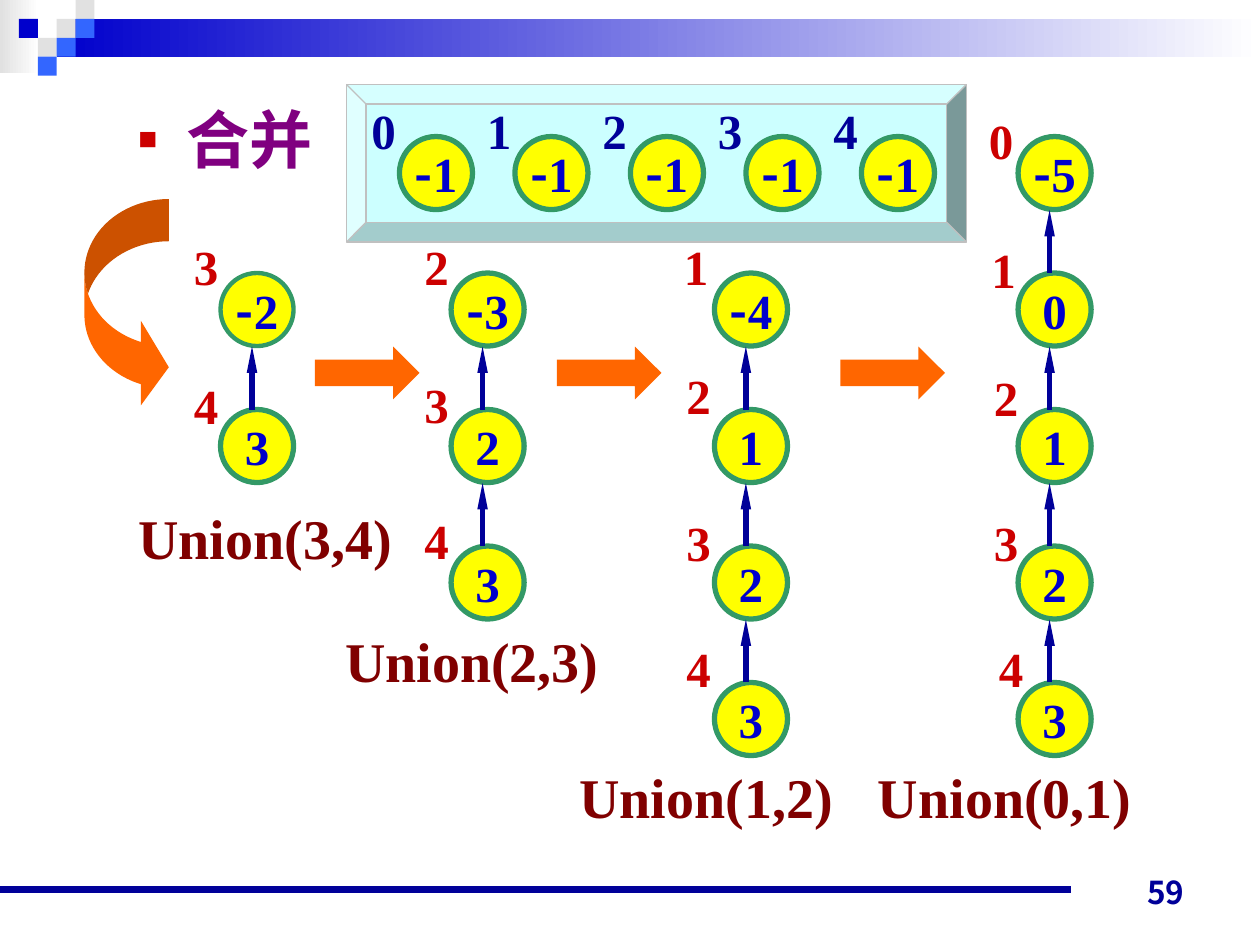
"""Build the slide showing successive Union operations on a five-element set."""
from lxml import etree
from pptx import Presentation
from pptx.dml.color import RGBColor
from pptx.enum.shapes import MSO_CONNECTOR, MSO_SHAPE
from pptx.enum.text import MSO_ANCHOR, MSO_AUTO_SIZE, PP_ALIGN
from pptx.oxml.ns import qn
from pptx.util import Inches, Pt

RECTANGLE, OVAL, BEVEL = MSO_SHAPE.RECTANGLE, MSO_SHAPE.OVAL, MSO_SHAPE.BEVEL
RIGHT_ARROW, CURVED_ARROW = MSO_SHAPE.RIGHT_ARROW, MSO_SHAPE.CURVED_RIGHT_ARROW
STRAIGHT = MSO_CONNECTOR.STRAIGHT
MIDDLE, BOTTOM = MSO_ANCHOR.MIDDLE, MSO_ANCHOR.BOTTOM
FIT_SHAPE = MSO_AUTO_SIZE.SHAPE_TO_FIT_TEXT
CENTER, RIGHT = PP_ALIGN.CENTER, PP_ALIGN.RIGHT

WHITE = RGBColor(0xFF, 0xFF, 0xFF)
GRAY = RGBColor(0xE1, 0xE1, 0xE1)
SILVER = RGBColor(0xC0, 0xC0, 0xC0)
BLUE = RGBColor(0x00, 0x00, 0xCC)
LIGHT_BLUE = RGBColor(0x33, 0x66, 0xFF)
NAVY = RGBColor(0x00, 0x00, 0x99)
CYAN = RGBColor(0xCC, 0xFF, 0xFF)
YELLOW = RGBColor(0xFF, 0xFF, 0x00)
GREEN = RGBColor(0x33, 0x99, 0x66)
RED = RGBColor(0xCC, 0x00, 0x00)
MAROON = RGBColor(0x80, 0x00, 0x00)
PURPLE = RGBColor(0x80, 0x00, 0x80)
ORANGE = RGBColor(0xFF, 0x66, 0x00)

SERIF, SANS, CJK = "Times New Roman", "Arial", "Noto Sans CJK JP"
MINUS_FONT = "Noto Sans CJK SC"
NODE_SIZE = 0.58
ROW_PITCH = 13 / 12
COLUMN_PITCH = 11 / 12

presentation = Presentation()
presentation.slide_width, presentation.slide_height = Inches(10), Inches(7.5)
slide = presentation.slides.add_slide(presentation.slide_layouts[6])
shapes = slide.shapes


def add_figure(kind, left, top, width, height, color=None, outline=None, weight=0):
    shape = shapes.add_shape(kind, Inches(left), Inches(top), Inches(width), Inches(height))
    shape.shadow.inherit = False
    if color is not None:
        shape.fill.solid()
        shape.fill.fore_color.rgb = color
    if outline is None:
        shape.line.fill.background()
    else:
        shape.line.color.rgb = outline
        shape.line.width = Pt(weight)
    return shape


def add_text(text, left, top, width, height, size, color, font=SERIF):
    shape = shapes.add_textbox(Inches(left), Inches(top), Inches(width), Inches(height))
    shape.text_frame.word_wrap = False
    paragraph = shape.text_frame.paragraphs[0]
    paragraph.text = text
    paragraph.font.name, paragraph.font.size = font, Pt(size)
    paragraph.font.bold, paragraph.font.color.rgb = True, color
    return shape


for left, top, width, height, start in (
    (0, 0, 0.31, 0.58, GRAY),
    (0.45, 0.15, 9.55, 0.3, BLUE),
):
    band = add_figure(RECTANGLE, left, top, width, height)
    band.fill.gradient()
    band.fill.gradient_angle = 0
    for stop, color in zip(band.fill.gradient_stops, (start, WHITE)):
        stop.color.rgb = color

for column, row, color in (
    (3, 1, GRAY), (4, 0, GRAY), (4, 1, LIGHT_BLUE), (2, 2, GRAY),
    (1, 1, BLUE), (3, 2, LIGHT_BLUE), (2, 3, LIGHT_BLUE),
):
    add_figure(RECTANGLE, column * 0.15, row * 0.15, 0.15, 0.15, color)

page_number = add_text("59", 7.17, 6.78, 2.33, 0.5, 18, NAVY, CJK)
page_number.text_frame.word_wrap = True
page_number.text_frame.vertical_anchor = BOTTOM
page_number.text_frame.paragraphs[0].alignment = RIGHT

add_figure(BEVEL, 2.75, 0.67, 4.92, 1.25, CYAN, SILVER, 0.75)

heading = shapes.add_textbox(Inches(1), Inches(0.75), Inches(8.08), Inches(4.5))
heading.text_frame.word_wrap = True
paragraph = heading.text_frame.paragraphs[0]
paragraph.text = "合并"
properties = paragraph._p.get_or_add_pPr()
properties.set("marL", str(Inches(0.38)))
properties.set("indent", str(Inches(-0.38)))
bullet_color = etree.SubElement(properties, qn("a:buClr"))
etree.SubElement(bullet_color, qn("a:srgbClr"), val=str(RED))
etree.SubElement(properties, qn("a:buSzPct"), val="50000")
etree.SubElement(properties, qn("a:buFont"), typeface=SANS)
etree.SubElement(properties, qn("a:buChar"), char="■")
paragraph.font.name, paragraph.font.size = SANS, Pt(36)
paragraph.font.bold, paragraph.font.color.rgb = True, PURPLE

nodes = [(3.17 + index * COLUMN_PITCH, ROW_PITCH, "-1", 3) for index in range(5)]
labels = [(str(index), 2.85 + index * COLUMN_PITCH, 0.75, NAVY) for index in range(5)]
links = [(0, 7.06, 8.5, 7.06, 4.5)]

chains = (
    (1.75, 2, ("-2", "3"), ((1.44, 1.83), (1.44, 2.93))),
    (3.58, 2, ("-3", "2", "3"), ((3.27, 1.83), (3.27, 2.92), (3.27, 4))),
    (5.67, 2, ("-4", "1", "2", "3"),
     ((5.33, 1.83), (5.35, 2.85), (5.35, 4.02), (5.35, 5.02))),
    (8.08, 1, ("-5", "0", "1", "2", "3"),
     ((7.75, 0.83), (7.77, 1.85), (7.79, 2.87), (7.79, 4.02), (7.83, 5.02))),
)
for left, first_row, values, label_positions in chains:
    for step, (value, (label_left, label_top)) in enumerate(zip(values, label_positions)):
        top = (first_row + step) * ROW_PITCH
        nodes.append((left, top, value, 2.5 if value == "-2" else 3))
        labels.append((str(5 - len(values) + step), label_left, label_top, RED))
        if step:
            links.append((left + 0.25, top, left + 0.25, top - 0.5, 3))

for left, top, value, weight in nodes:
    node = add_figure(OVAL, left, top, NODE_SIZE, NODE_SIZE, YELLOW, GREEN, weight)
    node.text_frame.word_wrap = False
    node.text_frame.vertical_anchor = MIDDLE
    paragraph = node.text_frame.paragraphs[0]
    paragraph.alignment = CENTER
    paragraph.font.size, paragraph.font.bold = Pt(28), True
    paragraph.font.color.rgb = BLUE
    for character in value:
        run = paragraph.add_run()
        run.text = character
        run.font.name = MINUS_FONT if character == "-" else SERIF

for text, left, top, color in labels:
    label = add_text(text, left, top, 0.4, 0.57, 28, color)
    label.text_frame.auto_size = FIT_SHAPE

for start_x, start_y, end_x, end_y, weight in links:
    link = shapes.add_connector(
        STRAIGHT, Inches(start_x), Inches(start_y), Inches(end_x), Inches(end_y))
    link.line.color.rgb = NAVY
    link.line.width = Pt(weight)
    if start_x == end_x:
        etree.SubElement(
            link.line._get_or_add_ln(), qn("a:tailEnd"), type="triangle", w="sm", len="lg")
    etree.SubElement(link._element.spPr, qn("a:effectLst"))

for text, left, top in (
    ("Union(3,4)", 1, 3.95), ("Union(2,3)", 2.64, 4.92),
    ("Union(1,2)", 4.5, 6), ("Union(0,1)", 6.87, 6),
):
    caption = add_text(text, left, top, 2.27, 0.63, 32, MAROON)

for left in (2.5, 4.42, 6.67):
    add_figure(RIGHT_ARROW, left, 2.75, 0.83, 0.42, ORANGE)

curved_arrow = add_figure(CURVED_ARROW, 0.67, 1.58, 0.67, 1.67, ORANGE)
for index, adjustment in enumerate((0.5, 1, 0.33)):
    curved_arrow.adjustments[index] = adjustment

for shape in shapes:
    if shape.has_text_frame and shape.text_frame.text.startswith("Union"):
        shape.text_frame.word_wrap = True

presentation.save("out.pptx")
